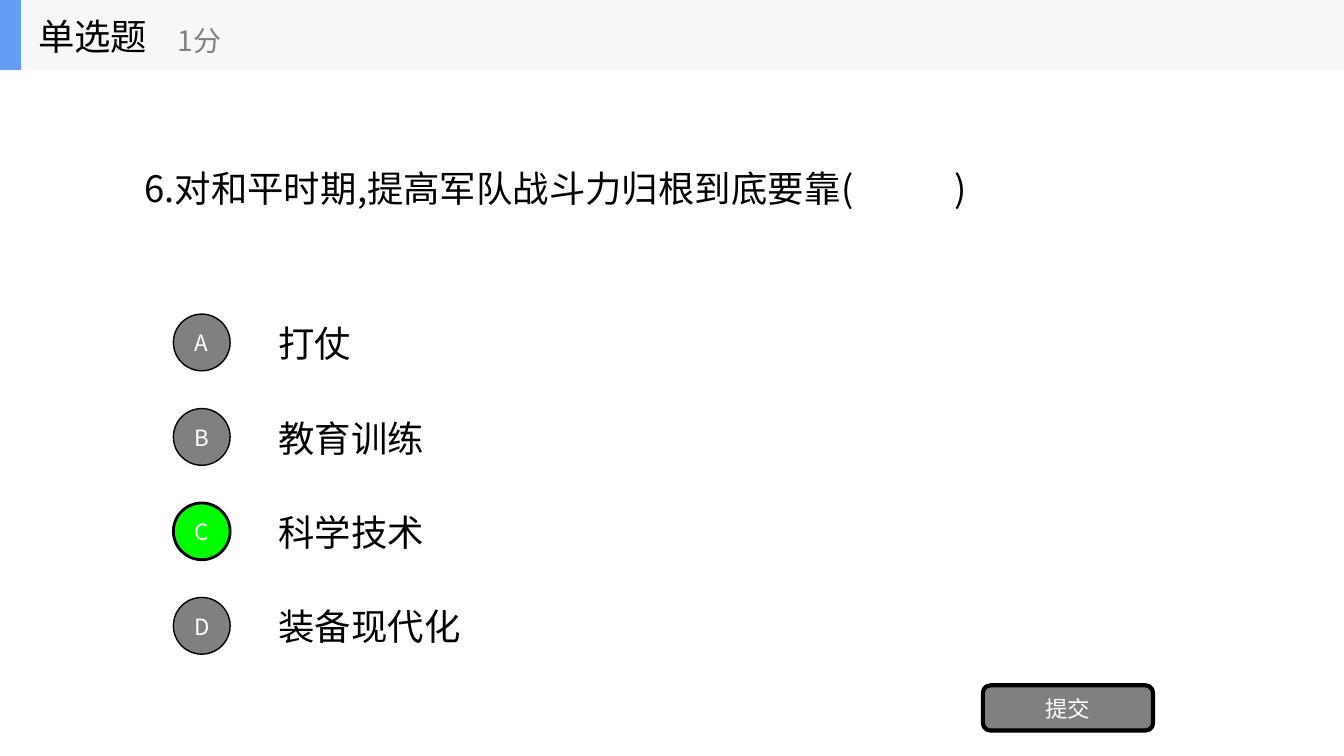
from dataclasses import dataclass

from lxml import etree
from pptx import Presentation
from pptx.dml.color import RGBColor
from pptx.enum import shapes, text
from pptx.oxml import ns
from pptx.util import Cm, Pt


@dataclass(frozen=True)
class Theme:
    font: str = "Noto Sans CJK SC"
    black: str = "000000"
    white: str = "FFFFFF"
    gray: str = "808080"
    green: str = "00FF00"
    blue: str = "639EF4"
    pale: str = "F6F7F8"
    body: int = 26
    score: int = 20
    label: int = 16


THEME = Theme()
KINDS = shapes.MSO_SHAPE
OPTIONS = [("A", "打仗", 2.62), ("B", "教育训练", 4.45),
           ("C", "科学技术", 4.45), ("D", "装备现代化", 5.36)]
ANSWER = "C"


def write(shape, words, size, color, align=text.PP_ALIGN.LEFT):
    """Put one vertically centred paragraph in a shape."""
    frame = shape.text_frame
    frame.word_wrap = True
    frame.vertical_anchor = text.MSO_ANCHOR.MIDDLE
    para = frame.paragraphs[0]
    para.text = words
    para.alignment = align
    para.line_spacing = Pt(size * 1.23)
    font = para.font
    font.size = Pt(size)
    font.color.rgb = RGBColor.from_string(color)
    font.name = THEME.font
    props = para._p.pPr.find(ns.qn("a:defRPr"))
    etree.SubElement(props, ns.qn("a:ea"), typeface=THEME.font)
    return frame


def label(slide, words, left, top, width, height=1.35,
          size=THEME.body, color=THEME.black):
    box = slide.shapes.add_textbox(Cm(left), Cm(top), Cm(width), Cm(height))
    return write(box, words, size, color)


def block(slide, kind, left, top, width, height, fill, line=0):
    shape = slide.shapes.add_shape(
        kind, Cm(left), Cm(top), Cm(width), Cm(height))
    shape.shadow.inherit = False
    shape.fill.solid()
    shape.fill.fore_color.rgb = RGBColor.from_string(fill)
    if line:
        shape.line.color.rgb = RGBColor.from_string(THEME.black)
        shape.line.width = Pt(line)
    else:
        shape.line.fill.background()
    return shape


def button(slide, kind, words, left, top, width, height, fill, line):
    shape = block(slide, kind, left, top, width, height, fill, line)
    frame = write(shape, words, THEME.label, THEME.white,
                  text.PP_ALIGN.CENTER)
    frame.margin_left = frame.margin_right = 0
    frame.margin_top = frame.margin_bottom = 0


def header(slide):
    block(slide, KINDS.RECTANGLE, 0, 0, 33.87, 1.76, THEME.pale)
    block(slide, KINDS.RECTANGLE, 0, 0, 0.53, 1.76, THEME.blue)
    label(slide, "单选题", 0.71, 0, 5.29, 1.76)
    label(slide, "1分", 4.23, 0.3, 6.35, 1.43, THEME.score, THEME.gray)


def question(slide):
    label(slide, "6.对和平时期,提高军队战斗力归根到底要靠(", 3.39, 4.06, 18.57)
    close = label(slide, ")", 23.4, 4.06, 2.23)
    close.margin_left = Cm(0.66)


def options(slide):
    size = 1.43
    for row, (letter, words, width) in enumerate(OPTIONS):
        mid = 8.63 + row * 2.38
        label(slide, words, 6.77, mid - 1.35 / 2, width)
        right = letter == ANSWER
        button(slide, KINDS.OVAL, letter, 4.37, mid - size / 2, size, size,
               THEME.green if right else THEME.gray, 2 if right else 1)


def main():
    deck = Presentation()
    deck.slide_width, deck.slide_height = Cm(33.87), Cm(19.05)
    slide = deck.slides.add_slide(deck.slide_layouts[6])
    question(slide)
    options(slide)
    button(slide, KINDS.ROUNDED_RECTANGLE, "提交", 24.77, 17.27, 4.29, 1.14,
           THEME.gray, 3)
    header(slide)
    deck.save("out.pptx")


if __name__ == "__main__":
    main()
